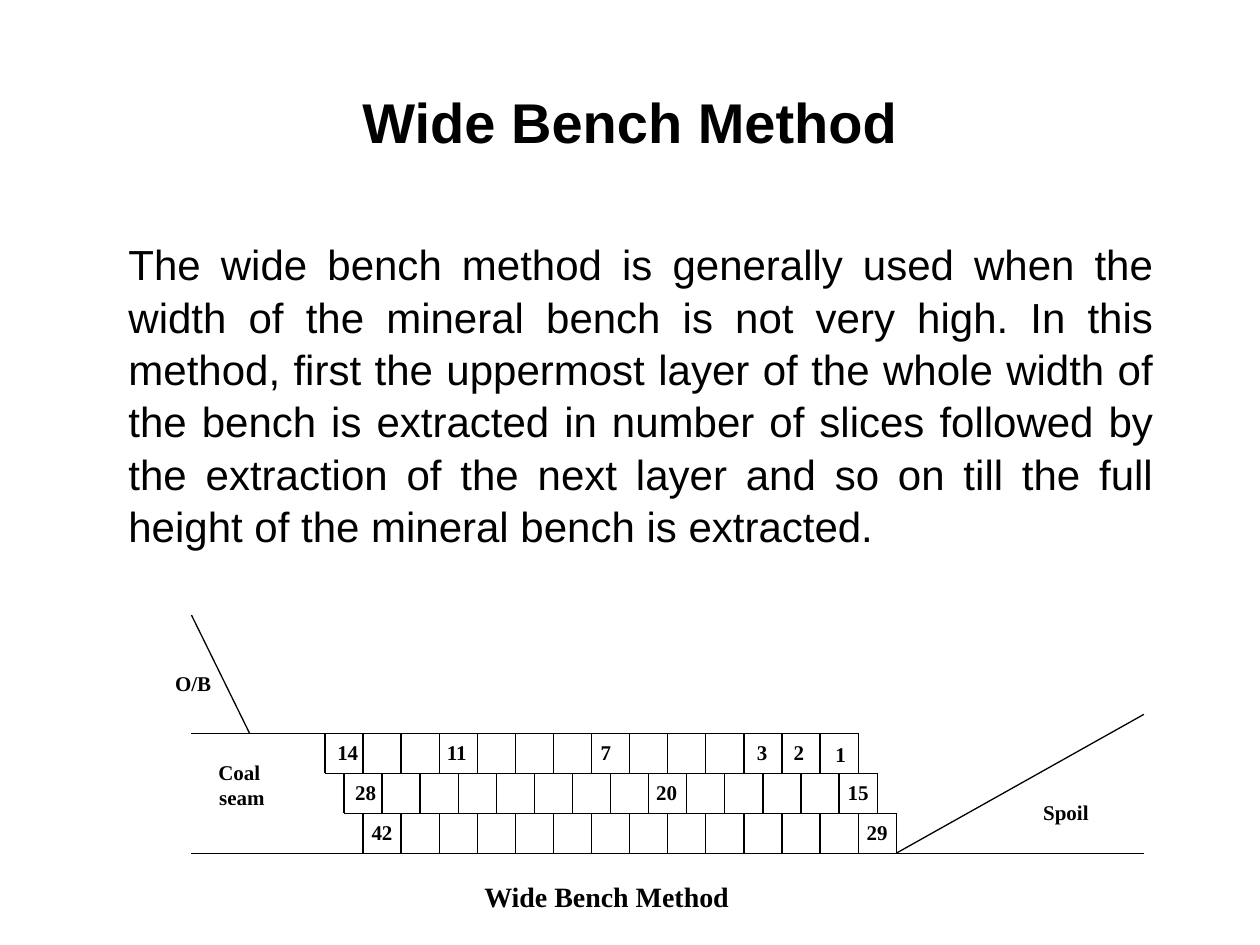
from lxml.etree import SubElement
from pptx import Presentation
from pptx.dml.color import RGBColor
from pptx.enum.shapes import MSO_CONNECTOR as CONN, MSO_SHAPE as SHAPE
from pptx.enum.text import MSO_ANCHOR as ANCHOR, PP_ALIGN as ALIGN
from pptx.oxml.ns import qn
from pptx.util import Cm, Pt


def rgb(value):
    return RGBColor.from_string(value)


class Sketch:
    INK, PAPER = "000000", "FFFFFF"
    LABEL = {"name": "Times New Roman", "size": Pt(12), "bold": True}

    def __init__(self, slide):
        self.s = slide

    def fill_text(self, shape, text, fmt, align, anchor=ANCHOR.TOP, spacing=None):
        tf = shape.text_frame
        tf.word_wrap = True
        tf.vertical_anchor = anchor
        for i, line in enumerate(text.split("\n")):
            p = tf.paragraphs[0] if i == 0 else tf.add_paragraph()
            p.alignment = align
            if spacing:
                p.line_spacing = spacing
            r = p.add_run()
            r.text = line
            for key, value in fmt.items():
                setattr(r.font, key, value)
            r.font.color.rgb = rgb(self.INK)

    def text(self, box, text, fmt, align, **options):
        sp = self.s.shapes.add_textbox(*map(Cm, box))
        self.fill_text(sp, text, fmt, align, **options)

    def label(self, box, text, align=ALIGN.LEFT, **extra):
        sp = self.s.shapes.add_shape(SHAPE.RECTANGLE, *map(Cm, box))
        sp.shadow.inherit = False
        sp.fill.solid()
        sp.fill.fore_color.rgb = rgb(self.PAPER)
        sp.line.fill.background()
        self.fill_text(sp, text, {**self.LABEL, **extra}, align)

    def line(self, x1, y1, x2, y2):
        c = self.s.shapes.add_connector(CONN.STRAIGHT, Cm(x1), Cm(y1), Cm(x2), Cm(y2))
        c.line.color.rgb = rgb(self.INK)
        c.line.width = Pt(0.75)
        SubElement(c._element.spPr, qn("a:effectLst"))


def main():
    prs = Presentation()
    prs.slide_width, prs.slide_height = Cm(25.4), Cm(19.05)
    sketch = Sketch(prs.slides.add_slide(prs.slide_layouts[6]))

    # Title and description
    sketch.text((1.9, 1.7, 21.6, 1.47), "Wide Bench Method",
                {"name": "Arial", "size": Pt(32), "bold": True},
                ALIGN.CENTER, anchor=ANCHOR.MIDDLE)
    sketch.text((2.34, 4.65, 21.16, 6.35),
                "The wide bench method is generally used when the width of the "
                "mineral bench is not very high. In this method, first the uppermost "
                "layer of the whole width of the bench is extracted in number of "
                "slices followed by the extraction of the next layer and so on till "
                "the full height of the mineral bench is extracted.",
                {"name": "Arial", "size": Pt(24)}, ALIGN.JUSTIFY, spacing=1.04)

    # Bench geometry: three layers of slices, each shifted by half a slice
    slices, layers = 14, 3
    left, right, top, floor = 6.55, 17.3, 14.78, 17.2
    slice_w, layer_h = (right - left) / slices, (floor - top) / layers
    ground_left, ground_right = 3.86, 23.06
    toe = right + slice_w

    # Slice numbers, drawn first so that the lines stay visible
    numbers = [
        [(6.55, "14"), (8.76, "11"), (11.86, "7"), (15.01, "3"), (15.75, "2"), (16.59, "1")],
        [(6.91, "28"), (12.98, "20"), (16.84, "15")],
        [(7.24, "42"), (17.22, "29")],
    ]
    for layer, row in enumerate(numbers):
        for x, number in row:
            width = 1.14 if len(number) == 2 else 0.76
            drop = 0.04 if number == "1" else 0
            sketch.label((x, top + layer * layer_h + drop, width, 0.81), number)
    sketch.label((3.28, 13.39, 1.45, 0.91), "O/B")

    # Layer tops and slice walls
    for layer in range(layers):
        y, shift = top + layer * layer_h, layer * slice_w / 2
        start = left + shift - slice_w / 2 if layer else ground_left
        sketch.line(start, y, right + shift, y)
        for i in range(slices + 1):
            x = left + shift + i * slice_w
            sketch.line(x, y, x, y + layer_h)

    # Floor, overburden slope and spoil slope
    sketch.line(ground_left, floor, ground_right, floor)
    sketch.line(5.03, top, ground_left, 12.4)
    sketch.line(toe, floor, ground_right, 14.4)

    # Area names and caption
    sketch.label((20.78, 16, 1.55, 0.81), "Spoil")
    sketch.text((3.48, 15.19, 2.69, 1.22), "Coal\n seam", Sketch.LABEL, ALIGN.CENTER)
    sketch.label((8, 17.6, 8.46, 0.81), "Wide Bench Method", ALIGN.CENTER, size=Pt(16))

    prs.save("out.pptx")


if __name__ == "__main__":
    main()
